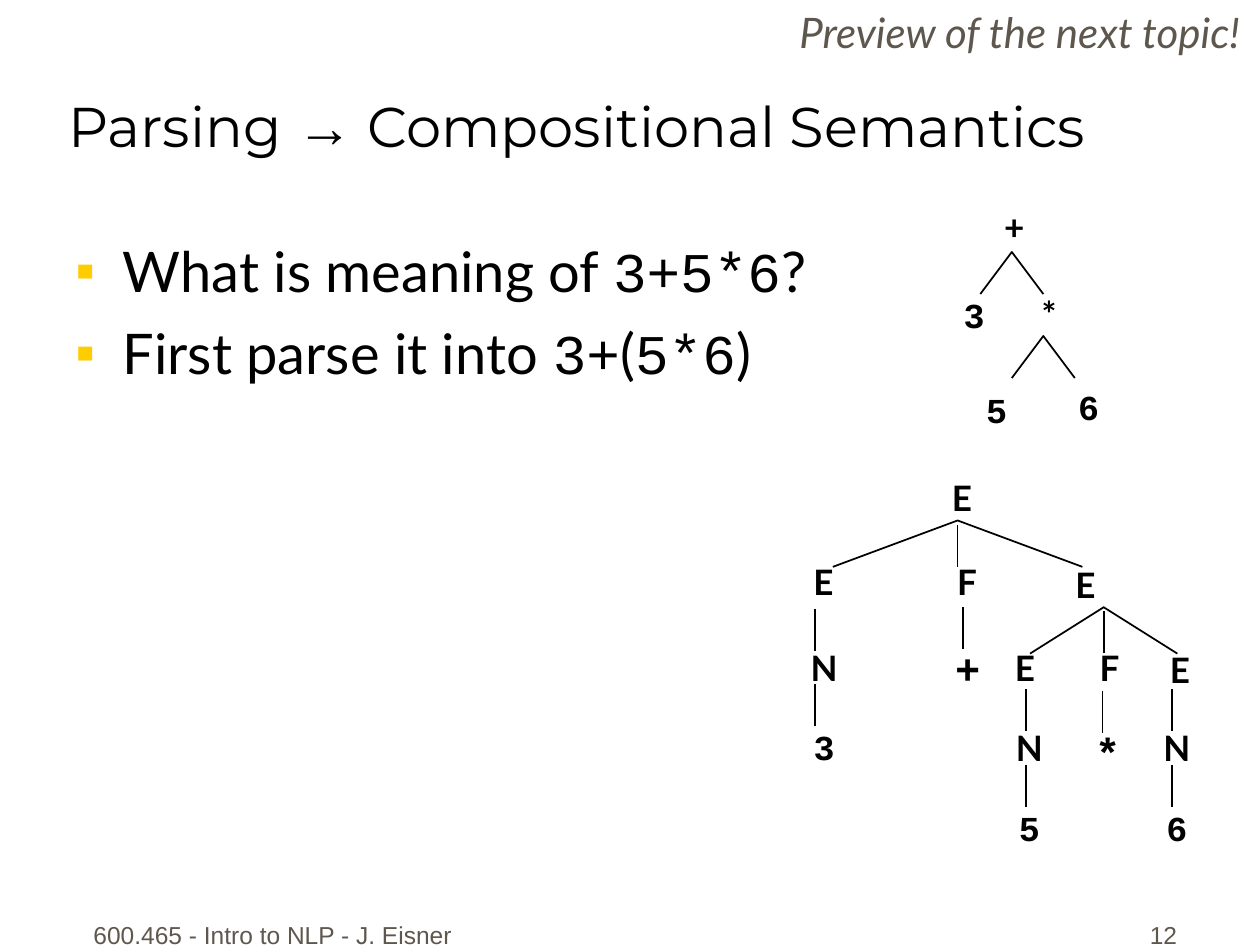
from dataclasses import dataclass

from lxml.etree import SubElement
from pptx import Presentation
from pptx.dml.color import RGBColor
from pptx.enum.shapes import MSO_CONNECTOR as Connector
from pptx.enum.text import MSO_ANCHOR as Anchor, MSO_AUTO_SIZE as AutoSize, PP_ALIGN as Align
from pptx.oxml.ns import qn
from pptx.util import Pt

BLACK = RGBColor(0x00, 0x00, 0x00)
GRAY = RGBColor(0x5E, 0x57, 0x4E)
GOLD = RGBColor(0xFF, 0xCC, 0x00)
LATO, MONO, ARIAL, TITLE_FONT = "Lato", "Courier New", "Arial", "Montserrat"
STEM_LENGTH = 24


@dataclass(frozen=True)
class Node:
    text: str
    center: float
    top: float
    font: str = LATO
    size: float = 20


@dataclass(frozen=True)
class Fork:
    """Two branches falling from an apex, with an optional middle stem."""
    x: float
    y: float
    half_width: float
    drop: float


@dataclass(frozen=True)
class Tree:
    nodes: tuple[Node, ...]
    forks: tuple[Fork, ...]
    stems: tuple[tuple[float, float], ...] = ()


@dataclass(frozen=True)
class Label:
    text: str
    area: tuple[float, float, float, float]
    align: Align
    anchor: Anchor
    style: dict


OPERATOR_TREE = Tree(
    nodes=(
        Node("+", 579.6, 113.8),
        Node("3", 556.6, 164.2, MONO), Node("*", 599.4, 163.4),
        Node("5", 569.5, 218.2, MONO), Node("6", 622.1, 216.7, MONO),
    ),
    forks=(Fork(578.2, 144, 18, 24), Fork(596.2, 192, 18, 24)),
)
PARSE_TREE = Tree(
    nodes=(
        Node("E", 549.7, 268.6),
        Node("E", 470.5, 316.8), Node("F", 552.6, 316.8), Node("E", 620.3, 318.2),
        Node("N", 470.9, 365.8), Node("+", 553, 363.6, MONO, 24),
        Node("E", 585.7, 365.8), Node("F", 634, 365.8), Node("E", 674.3, 367.2),
        Node("3", 470.9, 411.1, MONO), Node("N", 588.2, 411.8),
        Node("*", 632.9, 411.8, MONO, 24), Node("N", 672.5, 411.8),
        Node("5", 588.2, 457.2, MONO), Node("6", 672.5, 457.2, MONO),
    ),
    forks=(Fork(547.2, 297.4, 71.3, 26.5), Fork(630.7, 347, 42.1, 26.5)),
    stems=(
        (547.2, 300.2), (630.7, 349.2),
        (465.8, 347.8), (465.8, 391), (550.1, 347), (630, 394.6),
        (586.1, 393.8), (586.1, 437), (669.6, 393.8), (669.6, 437),
    ),
)
LABELS = (
    Label("600.465 - Intro to NLP - J. Eisner", (41.8, 509.8, 228.2, 36), Align.CENTER,
          Anchor.BOTTOM, {"name": ARIAL, "size": Pt(14)}),
    Label("12", (529.9, 509.8, 149.8, 36), Align.RIGHT,
          Anchor.BOTTOM, {"name": ARIAL, "size": Pt(14)}),
    Label("Preview of the next topic!", (435.6, 0, 280.1, 36), Align.RIGHT,
          Anchor.TOP, {"name": LATO, "size": Pt(24), "italic": True}),
)
TITLE = (("Parsing ", TITLE_FONT), ("→", ARIAL), (" Compositional Semantics", TITLE_FONT))
BULLETS = (
    (("What is meaning of ", LATO), ("3+5*6", MONO), ("?", LATO)),
    (("First parse it into ", LATO), ("3+", MONO), ("(", LATO), ("5*6", MONO), (")", LATO)),
)


def add_span(para, text: str, color: RGBColor, style: dict) -> None:
    span = para.add_run()
    span.text = text
    for name, value in style.items():
        setattr(span.font, name, value)
    span.font.color.rgb = color


def add_text_box(shapes, area: tuple, align: Align, anchor: Anchor, wrap: bool = True):
    """Add an empty text box and return its first paragraph."""
    frame = shapes.add_textbox(*map(Pt, area)).text_frame
    settings = {"word_wrap": wrap, "vertical_anchor": anchor, "auto_size": AutoSize.NONE}
    for name, value in settings.items():
        setattr(frame, name, value)
    para = frame.paragraphs[0]
    para.alignment = align
    return para


def style_line(shape) -> None:
    shape.line.color.rgb = BLACK
    shape.line.width = Pt(1)


def draw_node(shapes, node: Node) -> None:
    width, height = node.size * 1.3, node.size * 1.2 + 7.2
    area = (node.center - width / 2, node.top, width, height)
    para = add_text_box(shapes, area, Align.CENTER, Anchor.TOP, wrap=False)
    add_span(para, node.text, BLACK, {"name": node.font, "size": Pt(node.size), "bold": True})


def draw_fork(shapes, fork: Fork) -> None:
    left, right = fork.x - fork.half_width, fork.x + fork.half_width
    foot = fork.y + fork.drop
    builder = shapes.build_freeform(Pt(left), Pt(foot))
    builder.add_line_segments([(Pt(fork.x), Pt(fork.y)), (Pt(right), Pt(foot))], close=False)
    shape = builder.convert_to_shape()
    shape.fill.background()
    shape.shadow.inherit = False
    style_line(shape)


def draw_stem(shapes, x: float, y: float) -> None:
    stem = shapes.add_connector(Connector.STRAIGHT, Pt(x), Pt(y), Pt(x), Pt(y + STEM_LENGTH))
    style_line(stem)
    SubElement(stem._element.spPr, qn("a:effectLst"))


def draw_tree(page, tree: Tree) -> None:
    shapes = page.shapes.add_group_shape().shapes
    for node in tree.nodes:
        draw_node(shapes, node)
    for fork in tree.forks:
        draw_fork(shapes, fork)
    for x, y in tree.stems:
        draw_stem(shapes, x, y)


def draw_title(page) -> None:
    title = page.shapes.title
    area = {"left": 31.7, "top": 4.3, "width": 676.1, "height": 90}
    for name, value in area.items():
        setattr(title, name, Pt(value))
    frame = title.text_frame
    frame.auto_size = AutoSize.NONE
    frame.vertical_anchor = Anchor.BOTTOM
    para = frame.paragraphs[0]
    para.alignment = Align.LEFT
    for text, font in TITLE:
        add_span(para, text, BLACK, {"name": font, "size": Pt(32)})


def add_bullet(para) -> None:
    para.space_before = Pt(8)
    props = para._p.get_or_add_pPr()
    props.set("marL", str(Pt(27)))
    props.set("indent", str(Pt(-27)))
    color = SubElement(props, qn("a:buClr"))
    SubElement(color, qn("a:srgbClr"), val=str(GOLD))
    SubElement(props, qn("a:buFont"), typeface=ARIAL)
    SubElement(props, qn("a:buChar"), char="▪")


def draw_bullets(page) -> None:
    first = add_text_box(page.shapes, (36, 131.8, 643.7, 365.8), Align.LEFT, Anchor.TOP)
    frame = page.shapes[-1].text_frame
    for index, spans in enumerate(BULLETS):
        para = frame.add_paragraph() if index else first
        add_bullet(para)
        for text, font in spans:
            add_span(para, text, BLACK, {"name": font, "size": Pt(32)})


def main() -> None:
    deck = Presentation()
    deck.slide_width, deck.slide_height = Pt(720), Pt(540)
    page = deck.slides.add_slide(deck.slide_layouts.get_by_name("Title Only"))

    # Title and bullets
    draw_title(page)
    draw_bullets(page)

    # Operator tree above, full parse tree below
    for tree in (OPERATOR_TREE, PARSE_TREE):
        draw_tree(page, tree)

    # Footer, page number and corner note
    for label in LABELS:
        para = add_text_box(page.shapes, label.area, label.align, label.anchor)
        add_span(para, label.text, GRAY, label.style)

    deck.save("out.pptx")


if __name__ == "__main__":
    main()
